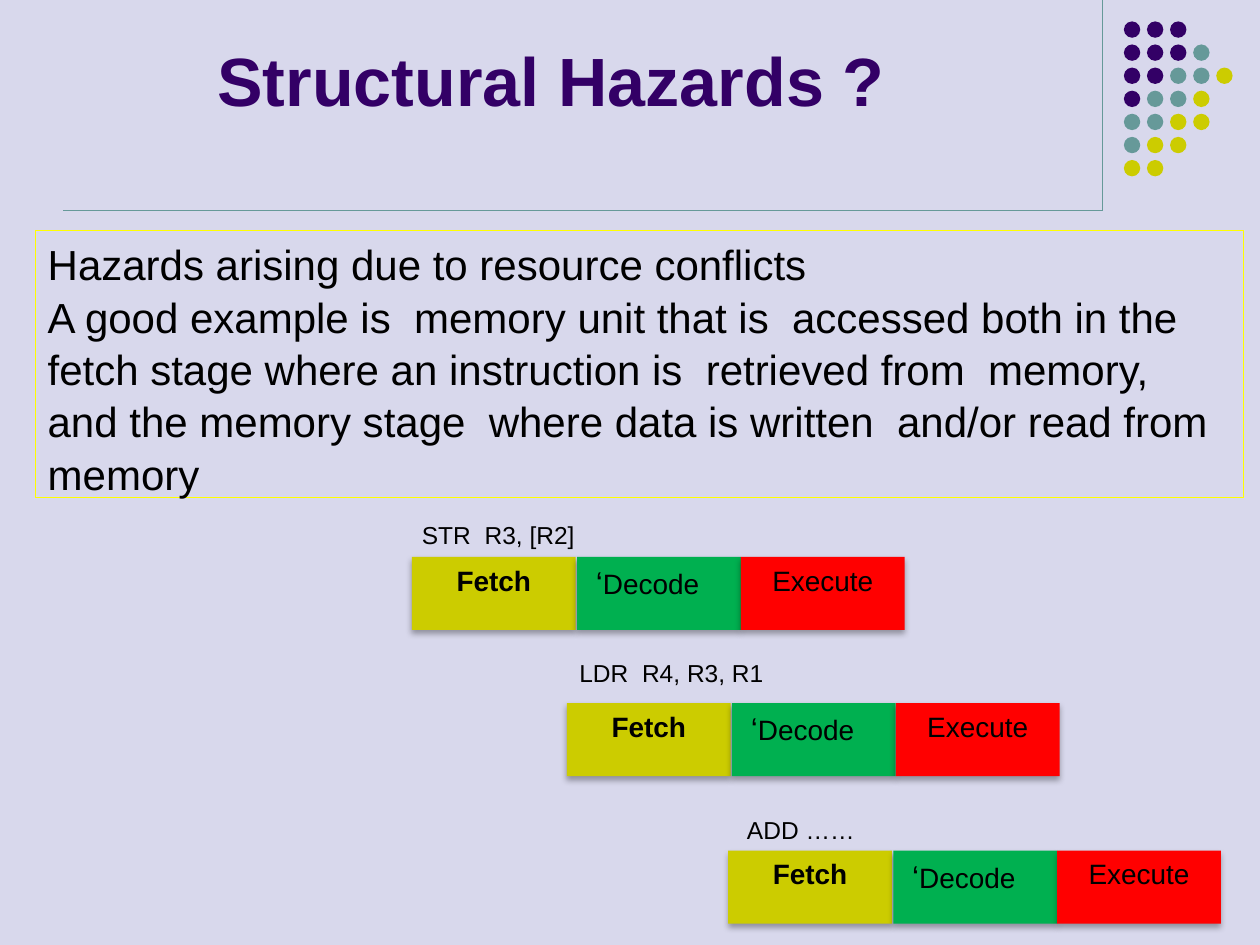
import pptx
import pptx.util
import pptx.dml.color
import pptx.enum.shapes
import pptx.enum.text
import pptx.oxml

Inches = pptx.util.Inches
Pt = pptx.util.Pt
RGB = pptx.dml.color.RGBColor
Shape = pptx.enum.shapes.MSO_SHAPE
Align = pptx.enum.text.PP_ALIGN
Anchor = pptx.enum.text.MSO_ANCHOR

BACK = RGB(0xD8, 0xD8, 0xEC)
PURPLE = RGB(0x33, 0x00, 0x66)
TEAL = RGB(0x66, 0x99, 0x99)
OLIVE = RGB(0xCC, 0xCC, 0x00)
GREEN = RGB(0x00, 0xB0, 0x50)
RED = RGB(0xFF, 0x00, 0x00)
YELLOW = RGB(0xFF, 0xFF, 0x00)
BLACK = RGB(0x00, 0x00, 0x00)

NS = 'xmlns:a="http://schemas.openxmlformats.org/drawingml/2006/main"'
SHADOW = (f'<a:effectLst {NS}><a:outerShdw blurRad="{Pt(3.5)}" dist="{Pt(2.2)}" '
          'dir="5400000" rotWithShape="0"><a:srgbClr val="000000">'
          '<a:alpha val="32000"/></a:srgbClr></a:outerShdw></a:effectLst>')

DOTS = ["PPP", "PPPT", "PPTTO", "PTTO", "TTOO", "TOO", "OO"]
HUES = {"P": PURPLE, "T": TEAL, "O": OLIVE}

BODY = [
    "Hazards arising due to resource conflicts",
    "A good example is \u00a0memory unit that is  accessed both in the",
    "fetch stage where an instruction is  retrieved from  memory,",
    "and the memory stage  where data is written  and/or read from",
    "memory",
]

# Label, label left, top and width, then left and top of the stages
STEPS = [
    ("STR  R3, [R2]", 3.25, 4.08, 1.42, 3.27, 4.42),
    ("LDR  R4, R3, R1", 4.5, 5.17, 1.67, 4.5, 5.58),
    ("ADD ……", 5.83, 6.42, 1.06, 5.78, 6.75),
]
# Offset in the row, fill, bold, runs with sizes
STAGES = [
    (0, OLIVE, True, [("Fetch", 16)]),
    (1.31, GREEN, False, [("‘", 18), ("Decode", 16), ("\t", 18)]),
    (2.61, RED, False, [("Execute", 16)]),
]


class Deck:
    font = "Arial"

    def __init__(self, wide, high):
        self.prs = pptx.Presentation()
        self.prs.slide_width = Inches(wide)
        self.prs.slide_height = Inches(high)
        self.slide = self.prs.slides.add_slide(self.prs.slide_layouts[5])
        fill = self.slide.background.fill
        fill.solid()
        fill.fore_color.rgb = BACK

    def style(self, par, size, color=BLACK, bold=False, align=Align.LEFT):
        par.alignment = align
        font = par.font
        font.name, font.size, font.bold = self.font, Pt(size), bold
        font.color.rgb = color

    def title(self, text, *box):
        shape = self.slide.shapes.title
        shape.left, shape.top, shape.width, shape.height = map(Inches, box)
        frame = shape.text_frame
        frame.text = text
        frame.vertical_anchor = Anchor.BOTTOM
        self.style(frame.paragraphs[0], 39, PURPLE, True, Align.CENTER)

    def line(self, *ends):
        line = self.slide.shapes.add_connector(
            pptx.enum.shapes.MSO_CONNECTOR.STRAIGHT, *map(Inches, ends))
        line.line.color.rgb = TEAL
        line.line.width = Pt(0.75)
        line._element.spPr.append(pptx.oxml.parse_xml(f"<a:effectLst {NS}/>"))

    def shape(self, kind, box, fill):
        shape = self.slide.shapes.add_shape(kind, *map(Inches, box))
        shape.shadow.inherit = False
        shape.fill.solid()
        shape.fill.fore_color.rgb = fill
        shape.line.fill.background()
        return shape

    def text(self, lines, box, size, wrap=False, space=None, edge=None):
        shape = self.slide.shapes.add_textbox(*map(Inches, box))
        frame = shape.text_frame
        frame.word_wrap = wrap
        frame.text = "\n".join(lines)
        for par in frame.paragraphs:
            self.style(par, size)
            par.line_spacing = space
        if edge is not None:
            shape.line.color.rgb = edge
            shape.line.width = Pt(0.75)

    def stage(self, box, fill, bold, runs):
        shape = self.shape(Shape.RECTANGLE, box, fill)
        props = shape._element.spPr
        props.remove(props.find(pptx.oxml.ns.qn("a:effectLst")))
        props.append(pptx.oxml.parse_xml(SHADOW))
        frame = shape.text_frame
        frame.vertical_anchor = Anchor.TOP
        par = frame.paragraphs[0]
        self.style(par, 16, bold=bold, align=Align.CENTER)
        for text, size in runs:
            run = par.add_run()
            run.text = text
            run.font.size = Pt(size)


def main():
    deck = Deck(10, 7.5)

    # Frame lines and dot pattern
    deck.line(8.75, 0, 8.75, 1.67)
    deck.line(0.5, 1.67, 8.75, 1.67)
    pitch = 0.55 / 3
    for row, keys in enumerate(DOTS):
        for col, key in enumerate(keys):
            box = (8.92 + col * pitch, 0.17 + row * pitch, 0.13, 0.13)
            deck.shape(Shape.OVAL, box, HUES[key])

    # Title and definition
    deck.title("Structural Hazards ?", 0.25, 0.25, 8.25, 0.75)
    deck.text(BODY, (0.28, 1.83, 9.59, 2.12), 24, True, 1.04, YELLOW)

    # Pipeline: one staggered row for each instruction
    for label, x, y, wide, left, top in STEPS:
        deck.text([label], (x, y, wide, 0.34), 14)
        for shift, fill, bold, runs in STAGES:
            deck.stage((left + shift, top, 1.3, 0.58), fill, bold, runs)

    deck.prs.save("out.pptx")


if __name__ == "__main__":
    main()
